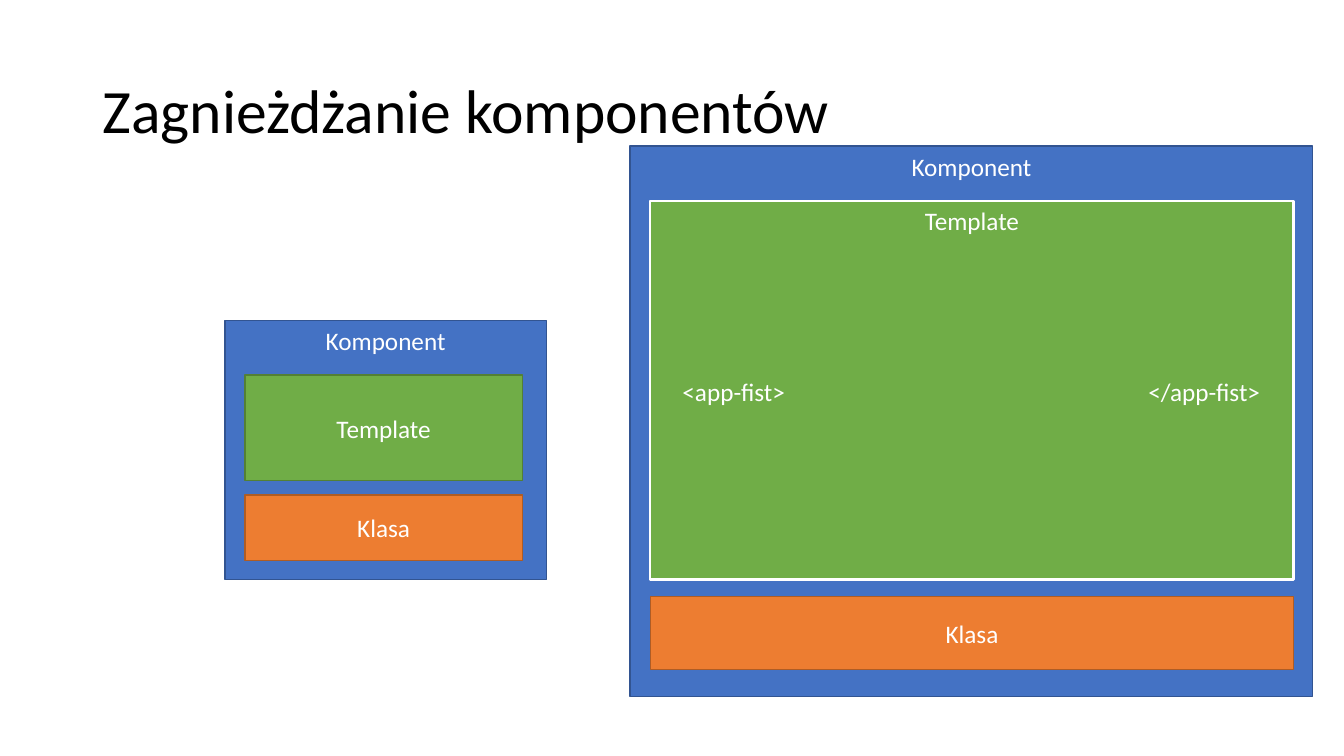
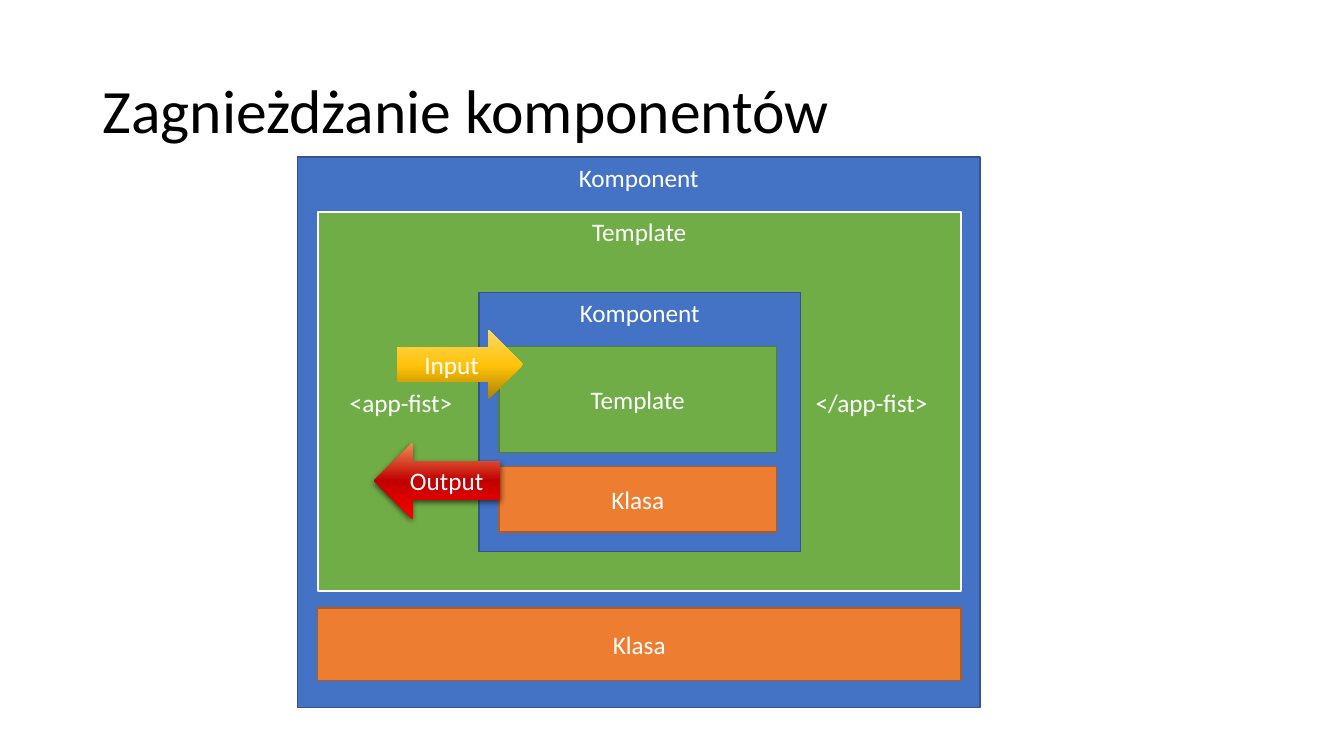
from lxml import etree
from pptx import Presentation
from pptx import util as u
from pptx.dml.color import RGBColor
from pptx.enum import shapes, text
from pptx.oxml.ns import qn

INK = {
    "blue": "4472C4", "navy": "325491", "green": "70AD47", "moss": "538035",
    "orange": "ED7D31", "rust": "AF5C24", "white": "FFFFFF", "black": "000000",
}
GOLD = [(0, "AB8100"), (48, "FFC208"), (100, "FFD966")]
RED = [(0, "F18C57"), (50, "C00000"), (100, "FF0000")]
FONT = "Calibri"
KIND = shapes.MSO_SHAPE
TOP, MID = text.MSO_ANCHOR.TOP, text.MSO_ANCHOR.MIDDLE
LEFT, MEAN = text.PP_ALIGN.LEFT, text.PP_ALIGN.CENTER


def rgb(name):
    """Return the named colour."""
    return RGBColor.from_string(INK[name])


def write(shape, words, size, ink, align, anchor):
    """Put one styled paragraph in a shape and return it."""
    frame = shape.text_frame
    frame.text = words
    frame.word_wrap = True
    frame.vertical_anchor = anchor
    para = frame.paragraphs[0]
    para.alignment = align
    para.font.name, para.font.size = FONT, u.Pt(size)
    para.font.color.rgb = rgb(ink)
    return para


def form(slide, kind, area):
    """Add a preset shape without shadow or outline."""
    shape = slide.shapes.add_shape(kind, *map(u.Inches, area))
    shape.shadow.inherit = False
    shape.line.fill.background()
    return shape


def box(slide, area, words, fill, edge=None, width=1, align=MEAN, anchor=MID):
    """Add a filled rectangle with a label and return its paragraph."""
    shape = form(slide, KIND.RECTANGLE, area)
    shape.fill.solid()
    shape.fill.fore_color.rgb = rgb(fill)
    if edge:
        shape.line.color.rgb = rgb(edge)
        shape.line.width = u.Pt(width)
    return write(shape, words, 18, "white", align, anchor)


def arrow(slide, kind, area, words, stops, angle):
    """Add a labelled block arrow with a gradient fill."""
    shape = form(slide, kind, area)
    shape.fill.gradient()
    shape.fill.gradient_angle = angle
    ramp = shape._element.spPr.find(".//" + qn("a:gsLst"))
    for old in list(ramp):
        ramp.remove(old)
    for place, code in stops:
        stop = etree.SubElement(ramp, qn("a:gs"), pos=str(place * 1000))
        etree.SubElement(stop, qn("a:srgbClr"), val=code)
    write(shape, words, 18, "white", MEAN, MID)
    return shape


def shade(shape):
    """Give a shape a soft shadow below it."""
    list_ = shape._element.spPr.find(qn("a:effectLst"))
    drop = etree.SubElement(
        list_, qn("a:outerShdw"), blurRad=str(u.Pt(4.5)), dist=str(u.Pt(1.5)),
        dir="5400000", algn="ctr", rotWithShape="0")
    tint = etree.SubElement(drop, qn("a:srgbClr"), val=INK["black"])
    etree.SubElement(tint, qn("a:alpha"), val="63000")


def tags(slide, x, y):
    """Add the opening and closing tags, set apart by a tab stop."""
    para = box(slide, (x, y, 6.08, 0.4), "<app-fist>\t</app-fist>", "green",
               align=LEFT, anchor=TOP)
    props = para._p.get_or_add_pPr()
    stops = etree.Element(qn("a:tabLst"))
    etree.SubElement(stops, qn("a:tab"), pos=str(u.Inches(4.62)), algn="l")
    props.insert(0, stops)


def child(slide, x, y):
    """Draw the small component."""
    box(slide, (x, y, 3.19, 2.57), "Komponent", "blue", "navy", anchor=TOP)
    box(slide, (x + 0.2, y + 0.54, 2.75, 1.05), "Template", "green", "moss")
    box(slide, (x + 0.2, y + 1.73, 2.75, 0.65), "Klasa", "orange", "rust")


def parent(slide, x, y):
    """Draw the large component with its tags."""
    box(slide, (x, y, 6.77, 5.46), "Komponent", "blue", "navy", anchor=TOP)
    box(slide, (x + 0.2, y + 0.54, 6.38, 3.76), "Template", "green", "white",
        1.5, anchor=TOP)
    box(slide, (x + 0.2, y + 4.47, 6.38, 0.72), "Klasa", "orange", "rust")
    tags(slide, x + 0.42, y + 2.23)


def page(deck, words):
    """Add a slide with a styled title."""
    slide = deck.slides.add_slide(deck.slide_layouts[5])
    title = slide.shapes.title
    title.left, title.top, title.width, title.height = map(
        u.Inches, (0.92, 0.4, 11.5, 1.45))
    para = write(title, words, 44, "black", LEFT, MID)
    para.line_spacing = 0.9
    return slide


def main():
    """Build and save the deck."""
    deck = Presentation()
    deck.slide_width, deck.slide_height = u.Inches(13.33), u.Inches(7.5)
    title = "Zagnieżdżanie komponentów"

    apart = page(deck, title)
    parent(apart, 6.25, 1.45)
    child(apart, 2.23, 3.18)

    nested = page(deck, title)
    parent(nested, 2.95, 1.56)
    child(nested, 4.75, 2.9)
    arrow(nested, KIND.RIGHT_ARROW, (3.94, 3.27, 1.25, 0.69), "Input", GOLD, 90)
    shade(arrow(nested, KIND.LEFT_ARROW, (3.71, 4.39, 1.25, 0.76), "Output",
                RED, 270))

    deck.save("out.pptx")


if __name__ == "__main__":
    main()
